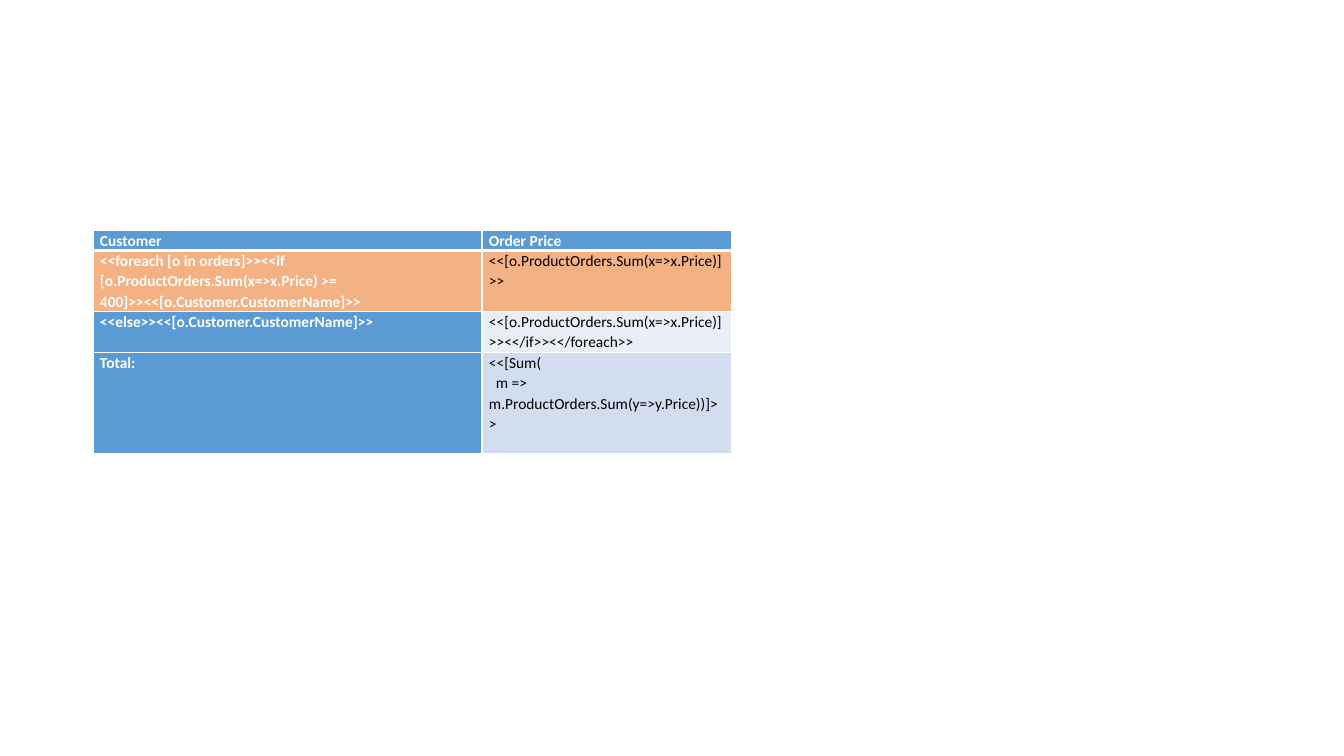
from lxml import etree
from pptx import Presentation
from pptx.dml.color import RGBColor
from pptx.enum.text import MSO_ANCHOR
from pptx.oxml.ns import qn
from pptx.util import Emu, Pt

TOP = MSO_ANCHOR.TOP
PX = 914400 / 100.8
WHITE, BLACK = "FFFFFF", "000000"
BLUE, ORANGE, PALE, LIGHT = "5B9BD5", "F4B183", "EAEFF7", "D2DEEF"

COLUMN_WIDTHS = [389, 250]
ROW_HEIGHTS = [20, 61, 41, 101]
# Each row: (text, fill) for the customer cell and the price cell
ORDER_ROWS = [
    [("Customer", BLUE), ("Order Price", BLUE)],
    [("<<foreach [o in orders]>><<if [o.ProductOrders.Sum(x=>x.Price) >= 400]>>"
      "<<[o.Customer.CustomerName]>>", ORANGE),
     ("<<[o.ProductOrders.Sum(x=>x.Price)]>>", ORANGE)],
    [("<<else>><<[o.Customer.CustomerName]>>", BLUE),
     ("<<[o.ProductOrders.Sum(x=>x.Price)]>><</if>><</foreach>>", PALE)],
    [("Total:", BLUE),
     ("<<[Sum(\n  m => m.ProductOrders.Sum(y=>y.Price))]>>", LIGHT)],
]


def px(length):
    return Emu(round(length * PX))


def color(code):
    return RGBColor.from_string(code)


def set_borders(cell, widths):
    """Draw white borders; widths maps L, R, T, B to points."""
    properties = cell._tc.get_or_add_tcPr()
    for side, width in widths.items():
        line = etree.SubElement(properties, qn(f"a:ln{side}"), w=str(Pt(width)))
        fill = etree.SubElement(line, qn("a:solidFill"))
        etree.SubElement(fill, qn("a:srgbClr"), val=WHITE)


def format_cell(cell, text, fill, strong):
    cell.fill.solid()
    cell.fill.fore_color.rgb = color(fill)
    cell.margin_left = cell.margin_right = px(7)
    cell.margin_top = cell.margin_bottom = 0
    cell.vertical_anchor = TOP
    cell.text_frame.text = text
    for para in cell.text_frame.paragraphs:
        para.line_spacing = 1.07
        font = para.font
        font.name, font.size, font.bold = "Calibri", Pt(11), strong
        font.color.rgb = color(WHITE if strong else BLACK)


def add_order_table(page, left, top):
    frame = page.shapes.add_table(
        len(ROW_HEIGHTS), len(COLUMN_WIDTHS), px(left), px(top),
        px(sum(COLUMN_WIDTHS)), px(sum(ROW_HEIGHTS)))
    table = frame.table
    for column, width in zip(table.columns, COLUMN_WIDTHS):
        column.width = px(width)
    for row, height in zip(table.rows, ROW_HEIGHTS):
        row.height = px(height)

    # Header row and first column are bold white
    for r, row in enumerate(ORDER_ROWS):
        for c, (text, fill) in enumerate(row):
            cell = table.cell(r, c)
            set_borders(cell, {"L": 1, "R": 1, "T": 3 if r == 1 else 1,
                               "B": 3 if r == 0 else 1})
            format_cell(cell, text, fill, strong=r == 0 or c == 0)


def main():
    deck = Presentation()
    deck.slide_width, deck.slide_height = px(1344), px(756)
    page = deck.slides.add_slide(deck.slide_layouts[6])
    add_order_table(page, 93, 230)
    deck.save("out.pptx")


if __name__ == "__main__":
    main()
